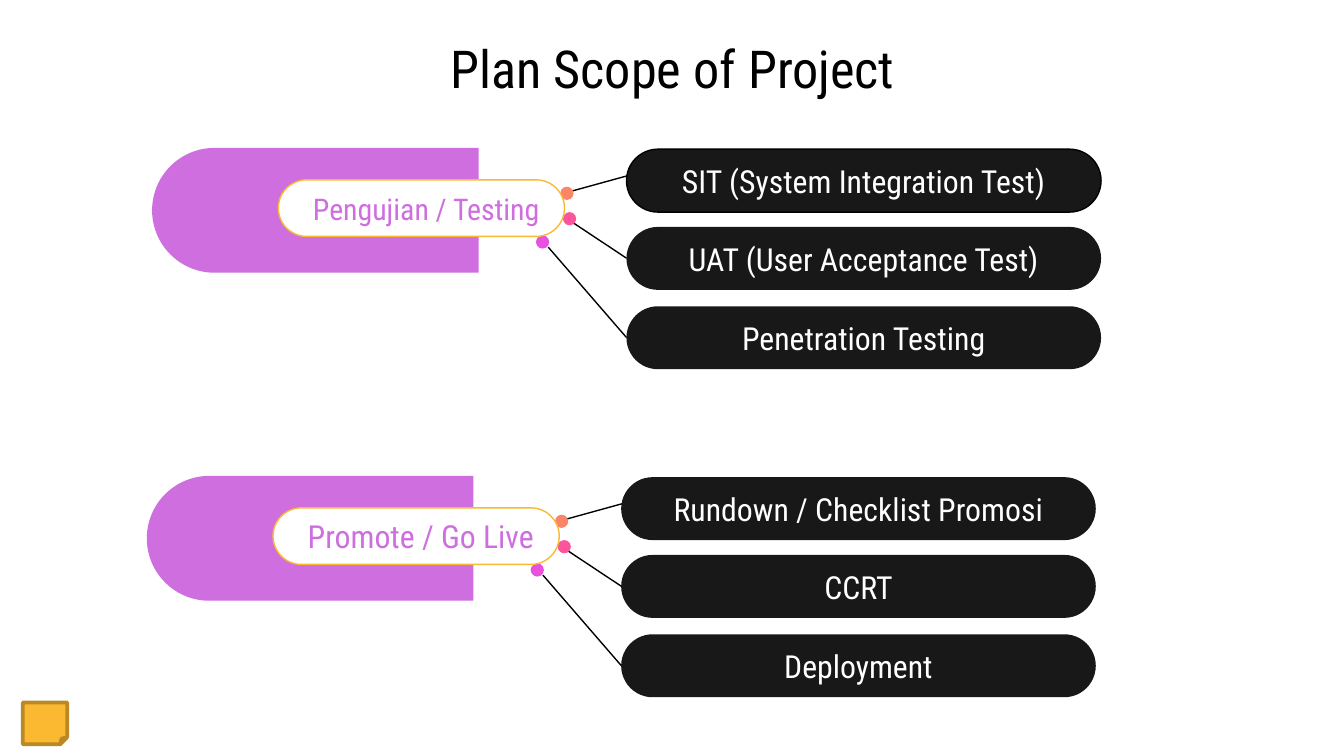
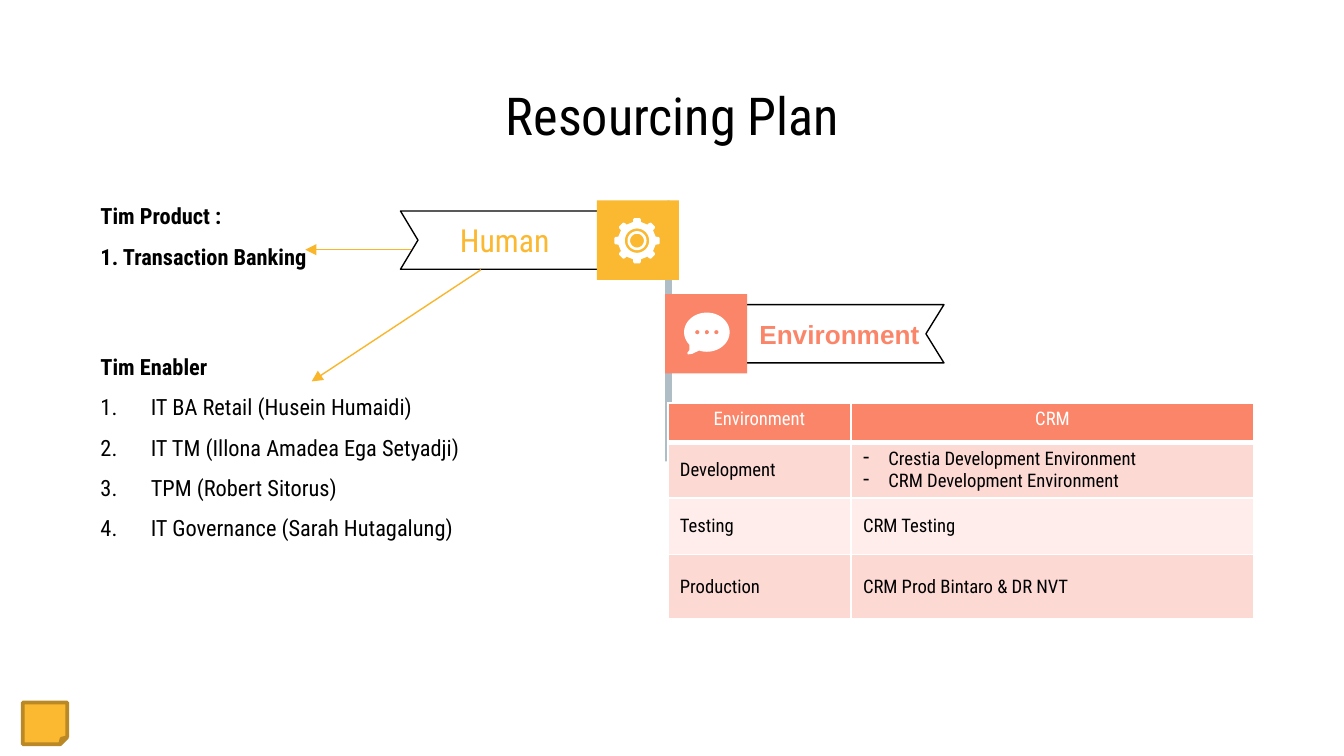
import math

import pptx
import pptx.dml.color
import pptx.enum.shapes
import pptx.enum.text
import pptx.oxml
import pptx.oxml.ns
import pptx.util

Cm, Pt = pptx.util.Cm, pptx.util.Pt
SHAPE = pptx.enum.shapes.MSO_SHAPE
ALIGN = pptx.enum.text.PP_ALIGN
ANCHOR = pptx.enum.text.MSO_ANCHOR

# Lengths are centimetres, text sizes and line widths are points.
FONT = "Roboto Condensed"
BLACK, WHITE, CHARCOAL = "000000", "FFFFFF", "181818"
YELLOW, ARROW_YELLOW, BROWN = "FBB831", "FAB62B", "BA8824"
PURPLE, CORAL, PINK, MAGENTA = "CE6EDF", "FB8569", "FB569C", "E850E0"
POLE_GREY, ROW_DARK, ROW_LIGHT = "AFBDC6", "FDD9D4", "FEEDEB"

SCOPES = [
    # label, label size, (shift right, shift down), first pill outlined, items
    ("Pengujian / Testing", 16, (0, 0), True,
     ["SIT (System Integration Test)", "UAT (User Acceptance Test)",
      "Penetration Testing"]),
    ("Promote / Go Live", 17, (-0.1, 6.2), False,
     ["Rundown / Checklist Promosi", "CCRT", "Deployment"]),
]
SPOKES = [
    # pill top, dot corner, dot colour, line start, line end
    (2.82, (10.59, 3.53), CORAL, (10.74, 3.63), (12.12, 3.25)),
    (4.29, (10.64, 4.01), PINK, (10.8, 4.19), (11.84, 4.88)),
    (5.79, (10.13, 4.45), MAGENTA, (10.36, 4.67), (11.84, 6.38)),
]

FLAGS = [
    # text, font, size, bold, colour, (base x, tip x, notch x), top, icon corner
    ("Environment", "Arial", 14, True, CORAL, (13.89, 17.84, 17.5), 5.76, (12.57, 5.56)),
    ("Human", FONT, 17, False, YELLOW, (11.51, 7.57, 7.9), 3.99, (11.28, 3.79)),
]
FLAG_HEIGHT = 1.1

PRODUCT_TEAM = ["Tim Product :", "1. Transaction Banking"]
ENABLER_TITLE = "Tim Enabler"
ENABLERS = ["IT BA Retail (Husein Humaidi)", "IT TM (Illona Amadea Ega Setyadji)",
            "TPM (Robert Sitorus)", "IT Governance (Sarah Hutagalung)"]
ARROWS = [((7.77, 4.72), (5.77, 4.72)), ((9.09, 5.1), (5.89, 7.21))]

ENVIRONMENTS = [
    # row height, fill, environment, systems
    (0.74, CORAL, "Environment", ["CRM"]),
    (0.99, ROW_DARK, "Development",
     ["Crestia Development Environment", "CRM Development Environment"]),
    (1.07, ROW_LIGHT, "Testing", ["CRM Testing"]),
    (1.22, ROW_DARK, "Production", ["CRM Prod Bintaro & DR NVT"]),
]
COLUMN_WIDTHS = [3.46, 7.62]


def rgb(hex_color):
    return pptx.dml.color.RGBColor.from_string(hex_color)


def xml(tag, attributes="", inner=""):
    return pptx.oxml.parse_xml(
        f'<a:{tag} {pptx.oxml.ns.nsdecls("a")} {attributes}>{inner}</a:{tag}>')


def style(shape, fill=None, line=None, width=0.75):
    shape.shadow.inherit = False
    if fill:
        shape.fill.solid()
        shape.fill.fore_color.rgb = rgb(fill)
    else:
        shape.fill.background()
    if line:
        shape.line.color.rgb = rgb(line)
        shape.line.width = Pt(width)
    else:
        shape.line.fill.background()
    return shape


def add_preset(shapes, preset, box, fill, line=None, width=0.75, adjust=()):
    shape = shapes.add_shape(preset, *map(Cm, box))
    for index, value in enumerate(adjust):
        shape.adjustments[index] = value
    return style(shape, fill, line, width)


def add_outline(shapes, contours, fill=None, line=None):
    """Draw closed contours as one freeform; inner contours become holes."""
    contours = [[(Cm(x), Cm(y)) for x, y in contour] for contour in contours]
    builder = shapes.build_freeform(*contours[0][0])
    for index, (start, *others) in enumerate(contours):
        if index:
            builder.move_to(*start)
        builder.add_line_segments(others, close=True)
    return style(builder.convert_to_shape(), fill, line)


def add_line(shapes, start, end, color, arrow=False):
    line = shapes.add_connector(pptx.enum.shapes.MSO_CONNECTOR.STRAIGHT,
                                *map(Cm, start + end))
    line.line.color.rgb = rgb(color)
    line.line.width = Pt(0.75)
    properties = line.element.spPr
    if arrow:
        properties.find(pptx.oxml.ns.qn("a:ln")).append(xml("tailEnd", 'type="triangle"'))
    properties.append(xml("effectLst"))


def add_paragraph(frame, text, size, color, bold=False, font=FONT,
                  align=ALIGN.LEFT, spacing=None, bullet=None, indent=0):
    first = frame.paragraphs[0]
    paragraph = frame.add_paragraph() if first.runs else first
    if bullet is not None:
        properties = paragraph._p.get_or_add_pPr()
        properties.set("marL", str(Cm(indent)))
        properties.set("indent", str(-Cm(indent)))
        properties.append(xml("buClr", inner=f'<a:srgbClr val="{BLACK}"/>'))
        properties.append(bullet)
    paragraph.alignment = align
    if spacing:
        paragraph.line_spacing = spacing
    run = paragraph.add_run()
    run.text = text
    run.font.name, run.font.size, run.font.bold = font, Pt(size), bold
    run.font.color.rgb = rgb(color)


def label(shape, text, size, color, left=0.25, **options):
    """Write one line in the vertical middle of a shape."""
    frame = shape.text_frame
    frame.word_wrap = True
    frame.vertical_anchor = ANCHOR.MIDDLE
    frame.margin_left = Cm(left)
    frame.margin_top = frame.margin_right = frame.margin_bottom = Cm(0.25)
    add_paragraph(frame, text, size, color, **options)


def add_text_box(shapes, box):
    frame = shapes.add_textbox(*map(Cm, box)).text_frame
    frame.word_wrap = True
    frame.auto_size = pptx.enum.text.MSO_AUTO_SIZE.SHAPE_TO_FIT_TEXT
    return frame


def start_slide(deck, title, title_top):
    """Add a slide with its title and the folded note in the corner."""
    shapes = deck.slides.add_slide(deck.slide_layouts[6]).shapes
    title_box = shapes.add_textbox(Cm(1.98), Cm(title_top), Cm(21.46), Cm(1.35))
    label(title_box, title, 28, BLACK, align=ALIGN.CENTER)
    add_preset(shapes, SHAPE.FOLDED_CORNER, (0.43, 13.28, 0.84, 0.79), YELLOW, BROWN, 2)
    return shapes


def add_scope(shapes, name, size, shift, outlined, items):
    def moved(x, y):
        return x + shift[0], y + shift[1]

    for index, (item, spoke) in enumerate(zip(items, SPOKES)):
        top, dot, color, start, end = spoke
        add_line(shapes, moved(*start), moved(*end), BLACK)
        pill = add_preset(shapes, SHAPE.ROUNDED_RECTANGLE, (*moved(11.84, top), 8.97, 1.19),
                          CHARCOAL, BLACK if outlined and index == 0 else None,
                          adjust=[0.5])
        label(pill, item, 17, WHITE, align=ALIGN.CENTER)
        add_preset(shapes, SHAPE.OVAL, (*moved(*dot), 0.25, 0.25), color)

    heading = shapes.add_group_shape().shapes
    band = add_preset(heading, SHAPE.ROUND_2_SAME_RECTANGLE,
                      (*moved(4.78, 0.89), 2.36, 6.17), PURPLE, adjust=[0.5, 0])
    band.rotation = 270
    capsule = add_preset(heading, SHAPE.ROUNDED_RECTANGLE, (*moved(5.26, 3.4), 5.41, 1.07),
                         WHITE, YELLOW, adjust=[0.5])
    label(capsule, name, size, PURPLE, left=0.5)


def add_flag(shapes, text, font, size, bold, color, edges, top, icon_corner):
    base, tip, notch = edges
    bottom = top + FLAG_HEIGHT
    ribbon = add_outline(shapes, [[(base, bottom), (tip, bottom),
                                   (notch, top + FLAG_HEIGHT / 2), (tip, top), (base, top)]],
                         line=BLACK)
    label(ribbon, text, size, color, bold=bold, font=font, align=ALIGN.CENTER)
    add_preset(shapes, SHAPE.RECTANGLE, (*icon_corner, 1.55, 1.5), color)


def polar(center, radius_x, radius_y, degrees):
    angle = math.radians(degrees)
    return center[0] + radius_x * math.cos(angle), center[1] + radius_y * math.sin(angle)


def circle(center, radius):
    return [polar(center, radius, radius, degrees) for degrees in range(0, 360, 10)]


def add_gear(shapes, center):
    tooth = [(-12, 0.36), (-10, 0.41), (-7, 0.43), (7, 0.43), (10, 0.41), (12, 0.36)]
    rim = [polar(center, radius, radius, turn + offset)
           for turn in range(0, 360, 45) for offset, radius in tooth]
    add_outline(shapes, [rim, circle(center, 0.23)], WHITE)
    add_outline(shapes, [circle(center, 0.18), circle(center, 0.13)], WHITE)


def add_speech_bubble(shapes, center):
    x, y = center
    tail = [(x - 0.28, y + 0.41), (x - 0.36, y + 0.42), (x - 0.37, y + 0.39),
            (x - 0.33, y + 0.34)]
    body = [polar(center, 0.43, 0.37, degrees) for degrees in range(140, 471, 5)]
    dots = [circle((x + offset, y), 0.04) for offset in (-0.18, 0, 0.18)]
    add_outline(shapes, [body + tail, *dots], WHITE)


def set_borders(cell, bottom):
    white = f'<a:solidFill><a:srgbClr val="{WHITE}"/></a:solidFill>'
    for side, width in (("L", 1), ("R", 1), ("T", 1), ("B", bottom)):
        cell._tc.get_or_add_tcPr().append(xml("ln" + side, f'w="{Pt(width)}"', white))


def add_environments(shapes):
    heights = [row[0] for row in ENVIRONMENTS]
    table = shapes.add_table(len(heights), 2, Cm(12.62), Cm(7.62),
                             Cm(sum(COLUMN_WIDTHS)), Cm(sum(heights))).table
    table.first_row = table.horz_banding = False
    for column, width in zip(table.columns, COLUMN_WIDTHS):
        column.width = Cm(width)
    for index, (height, fill, environment, systems) in enumerate(ENVIRONMENTS):
        header = index == 0
        table.rows[index].height = Cm(height)
        for cell, lines in zip(table.rows[index].cells, ([environment], systems)):
            set_borders(cell, 3 if header else 1)
            cell.fill.solid()
            cell.fill.fore_color.rgb = rgb(fill)
            cell.margin_left = cell.margin_right = Cm(0.23)
            cell.margin_top = cell.margin_bottom = Cm(0.1)
            cell.vertical_anchor = ANCHOR.TOP if header else ANCHOR.MIDDLE
            for line in lines:
                dash = xml("buChar", 'char="-"') if len(lines) > 1 else None
                add_paragraph(cell.text_frame, line, 10, WHITE if header else BLACK,
                              align=ALIGN.CENTER if header else ALIGN.LEFT,
                              bullet=dash, indent=0.48)


def build_scope_slide(deck):
    shapes = start_slide(deck, "Plan Scope of Project", 0.61)
    for scope in SCOPES:
        add_scope(shapes, *scope)


def build_resourcing_slide(deck):
    shapes = start_slide(deck, "Resourcing Plan", 1.5)
    add_preset(shapes, SHAPE.ROUND_2_SAME_RECTANGLE, (12.57, 3.79, 0.13, 4.93),
               POLE_GREY, adjust=[0.5, 0])
    for flag in FLAGS:
        add_flag(shapes.add_group_shape().shapes, *flag)
    add_gear(shapes.add_group_shape().shapes, (12.04, 4.55))
    add_speech_bubble(shapes, (13.36, 6.28))
    add_environments(shapes)

    enablers = add_text_box(shapes, (1.65, 6.3, 12.7, 4.88))
    add_paragraph(enablers, ENABLER_TITLE, 12, BLACK, bold=True, spacing=1.5)
    for person in ENABLERS:
        add_paragraph(enablers, person, 12, BLACK, spacing=1.5, indent=0.95,
                      bullet=xml("buAutoNum", 'type="arabicPeriod"'))
    product = add_text_box(shapes, (1.65, 3.45, 12.7, 1.8))
    for line in PRODUCT_TEAM:
        add_paragraph(product, line, 12, BLACK, bold=True, spacing=1.5)
    for start, end in ARROWS:
        add_line(shapes, start, end, ARROW_YELLOW, arrow=True)


def main():
    deck = pptx.Presentation()
    deck.slide_width, deck.slide_height = Cm(25.4), Cm(14.29)
    build_scope_slide(deck)
    build_resourcing_slide(deck)
    deck.save("out.pptx")


if __name__ == "__main__":
    main()
